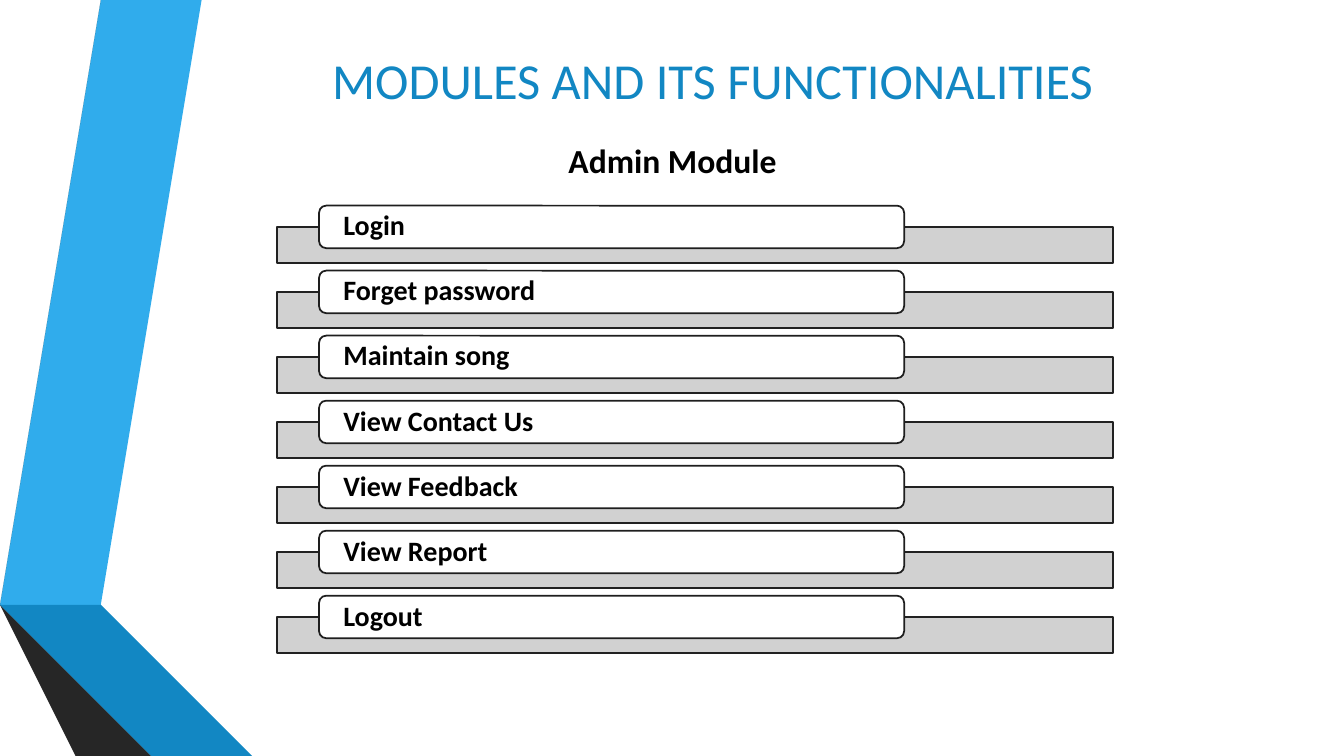
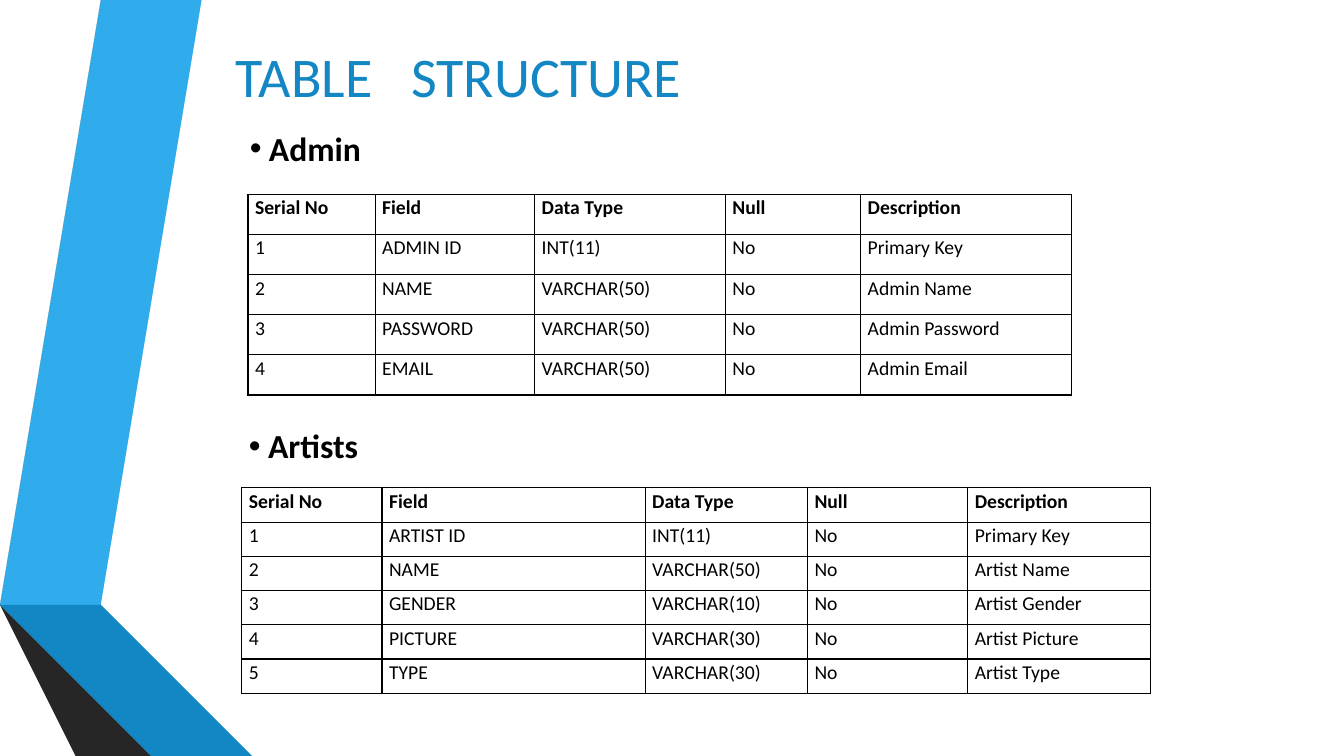
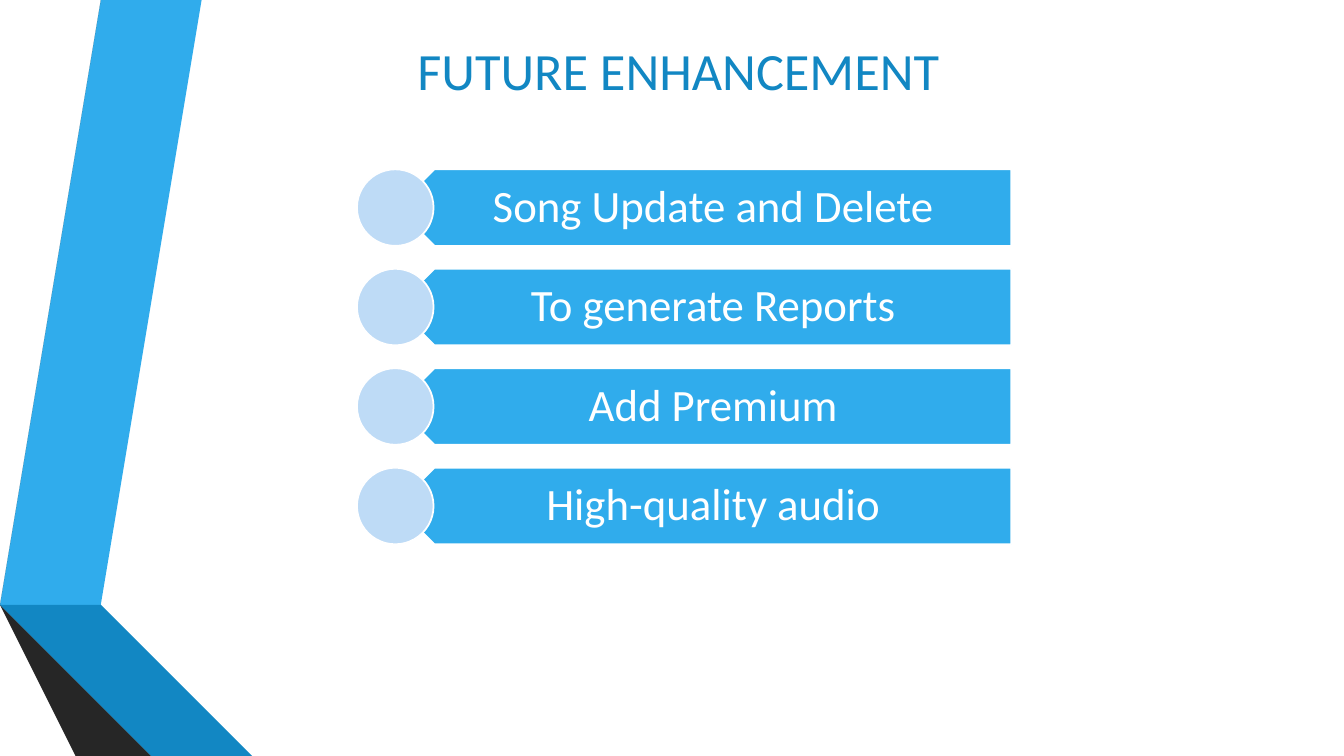
from collections import namedtuple

from lxml.etree import SubElement as Sub
from pptx import Presentation
from pptx.dml.color import RGBColor
from pptx.enum.shapes import MSO_SHAPE as Shape
from pptx.enum.text import MSO_ANCHOR as Anchor, MSO_AUTO_SIZE as Auto, PP_ALIGN as Align
from pptx.oxml.ns import qn
from pptx.util import Inches, Pt

WIDE, HIGH = 13.33, 7.5
FACE = "Calibri"
BLACK, WHITE = "000000", "FFFFFF"
SKY, BLUE, NAVY, PALE = "30ACEC", "1287C3", "0C5A82", "BEDBF6"
INK, COAL, SLATE, GREY = "262626", "404040", "595959", "CDCDCD"
HEAD = {"size": Pt(24), "bold": True}
CELL = {"margin_left": Inches(0.07), "margin_right": Inches(0.07),
        "margin_top": 0, "margin_bottom": 0}

# Outline points of the folded ribbon, in inches
RIBBON = [
    (SKY, [(0.5, 5.78), (0.77, 5.83), (1.73, 0), (1.45, 0)]),
    (SLATE, [(1.39, 0), (1.11, 0), (0.16, 5.73), (0.44, 5.77)]),
    (INK, [(0.16, 5.73), (1.45, HIGH), (1.51, HIGH)]),
    (NAVY, [(0.5, 5.79), (2.08, HIGH), (2.14, HIGH)]),
    (BLUE, [(0.5, 5.79), (2.14, HIGH), (2.83, HIGH), (0.77, 5.83), (0.5, 5.78)]),
    (COAL, [(2.02, HIGH), (0.48, 5.83), (0.43, 5.78), (0.44, 5.77),
            (0.16, 5.73), (1.51, HIGH)]),
]

MODULES = ["Login", "Forget password", "Maintain song", "View Contact Us",
           "View Feedback", "View Report", "Logout"]
PLANS = ["Song Update and Delete", "To generate Reports", "Add Premium",
         "High-quality audio"]
FIELDS = ["Serial No", "Field", "Data Type", "Null", "Description"]
ADMIN = [("ADMIN ID", "INT(11)", "Primary Key"),
         ("NAME", "VARCHAR(50)", "Admin Name"),
         ("PASSWORD", "VARCHAR(50)", "Admin Password"),
         ("EMAIL", "VARCHAR(50)", "Admin Email")]
ARTISTS = [("ARTIST ID", "INT(11)", "Primary Key"),
           ("NAME", "VARCHAR(50)", "Artist Name"),
           ("GENDER", "VARCHAR(10)", "Artist Gender"),
           ("PICTURE", "VARCHAR(30)", "Artist Picture"),
           ("TYPE", "VARCHAR(30)", "Artist Type")]


class Box(namedtuple("Box", "x y w h")):
    def cut(self, left, top, wide, high):
        """Inner box given as shares of this one."""
        return Box(self.x + left * self.w, self.y + top * self.h,
                   wide * self.w, high * self.h)

    def split(self, count, high):
        """Evenly spaced rows of one height that fill the box."""
        step = (self.h - high) / (count - 1)
        return [Box(self.x, self.y + i * step, self.w, high) for i in range(count)]

    def emu(self):
        return [Inches(side) for side in self]


def area(*cents):
    """Box in percent of the slide."""
    return Box(0, 0, WIDE, HIGH).cut(*(cent / 100 for cent in cents))


def rgb(code):
    return RGBColor.from_string(code)


def apply(thing, form):
    for key, value in form.items():
        setattr(thing, key, value)


def write(frame, text, font, color=BLACK, para=None, body=None):
    apply(frame, {"word_wrap": True, "auto_size": Auto.NONE, **(body or {})})
    line = frame.paragraphs[0]
    apply(line, para or {})
    run = line.add_run()
    run.text = text
    apply(run.font, {"name": FACE, **font})
    run.font.color.rgb = rgb(color)
    return line


def paint(shape, fill, edge=None):
    shape.shadow.inherit = False
    shape.fill.solid()
    shape.fill.fore_color.rgb = rgb(fill)
    if edge:
        shape.line.color.rgb = rgb(edge)
        shape.line.width = Pt(1.25)
    else:
        shape.line.fill.background()


def block(slide, kind, box, fill, edge):
    shape = slide.shapes.add_shape(kind, *box.emu())
    paint(shape, fill, edge)
    return shape


def ribbon(slide):
    """Draw the ribbon and move it to the layout, so every slide shows it."""
    tree = slide.slide_layout.shapes._spTree
    for color, (start, *rest) in RIBBON:
        pen = slide.shapes.build_freeform(*start, scale=Inches(1))
        pen.add_line_segments(rest, close=True)
        shape = pen.convert_to_shape()
        paint(shape, color)
        tree.append(shape._element)


def title(slide, text, box, size, para=None):
    hold = slide.shapes.title
    hold.left, hold.top, hold.width, hold.height = box.emu()
    return write(hold.text_frame, text, {"size": Pt(size)}, BLUE,
                 {"alignment": Align.LEFT, **(para or {})},
                 {"vertical_anchor": Anchor.TOP})


def label(slide, text, box, bullet=False):
    frame = slide.shapes.add_textbox(*box.emu()).text_frame
    line = write(frame, text, HEAD)
    if bullet:
        props = line._p.get_or_add_pPr()
        props.set("marL", str(Inches(0.19)))
        props.set("indent", str(-Inches(0.19)))
        Sub(props, qn("a:buFont"), typeface="Arial")
        Sub(props, qn("a:buChar"), char="•")


def stack(slide, box, names):
    """Outlined name cards, each over a grey track."""
    for row, name in zip(box.split(len(names), 0.57), names):
        track = block(slide, Shape.RECTANGLE, row.cut(0, 0.37, 1, 0.63), GREY, "212121")
        tint = track._element.spPr.find(".//" + qn("a:srgbClr"))
        Sub(tint, qn("a:alpha"), val="90000")
        card = block(slide, Shape.ROUNDED_RECTANGLE, row.cut(0.05, 0, 0.7, 0.74),
                     WHITE, "1E1E1E")
        write(card.text_frame, name, {"size": Pt(20), "bold": True},
              para={"alignment": Align.LEFT, "line_spacing": 0.9},
              body={"vertical_anchor": Anchor.MIDDLE, "margin_left": Inches(0.22),
                    "margin_right": Inches(0.22), "margin_top": 0, "margin_bottom": 0})


def rule(cell):
    """Black borders on all four sides."""
    props = cell._tc.get_or_add_tcPr()
    for side in ("lnL", "lnR", "lnT", "lnB"):
        edge = Sub(props, qn("a:" + side), w=str(Pt(1)))
        Sub(Sub(edge, qn("a:solidFill")), qn("a:srgbClr"), val=BLACK)


def schema(slide, box, widths, fields):
    rows = [FIELDS] + [(str(i), name, kind, "No", note)
                       for i, (name, kind, note) in enumerate(fields, 1)]
    table = slide.shapes.add_table(len(rows), len(widths), *box.emu()).table
    table.first_row = table.horz_banding = False
    for col, wide in zip(table.columns, widths):
        col.width = Inches(box.w * wide / sum(widths))
    for r, row in enumerate(rows):
        table.rows[r].height = Inches(box.h / len(rows))
        for c, text in enumerate(row):
            cell = table.cell(r, c)
            apply(cell, CELL)
            rule(cell)
            cell.fill.background()
            write(cell.text_frame, text, {"size": Pt(14), "bold": r == 0},
                  para={"line_spacing": 1.07})


def chain(slide, box, names):
    """Left-pointing plates, each with a ball at its tip."""
    for row, name in zip(box.split(len(names), 0.76), names):
        plate = block(slide, Shape.PENTAGON, row.cut(0.06, 0, 0.94, 1), SKY, WHITE)
        plate._element.spPr.find(qn("a:xfrm")).set("flipH", "1")
        write(plate.text_frame, name, {"size": Pt(32)}, WHITE,
              {"alignment": Align.CENTER, "line_spacing": 0.9},
              {"vertical_anchor": Anchor.MIDDLE, "margin_left": Inches(0.25),
               "margin_right": Inches(0.25)})
        block(slide, Shape.OVAL, row.cut(0, 0, row.h / row.w, 1), PALE, WHITE)


def modules(slide):
    title(slide, "MODULES AND ITS FUNCTIONALITIES", area(11.93, 5.87, 82.22, 12.8), 36,
          {"alignment": Align.CENTER})
    stack(slide, area(20.63, 27.2, 62.19, 59.2), MODULES)
    label(slide, "Admin Module", area(41.56, 17.87, 17.48, 6.67))


def tables(slide):
    line = title(slide, "TABLE\tSTRUCTURE", area(16.8, 4.8, 40.89, 11.73), 40)
    tabs = Sub(line._p.get_or_add_pPr(), qn("a:tabLst"))
    Sub(tabs, qn("a:tab"), pos=str(Inches(1.74)), algn="l")
    schema(slide, area(18.45, 25.73, 61.29, 26.53), [1.26, 1.58, 1.89, 1.34, 2.09], ADMIN)
    schema(slide, area(18, 64.53, 67.59, 27.2), [1.39, 2.61, 1.61, 1.59, 1.81], ARTISTS)
    label(slide, "Admin", area(17.85, 16.27, 10.58, 6.67), True)
    label(slide, "Artists", area(17.78, 55.6, 10.05, 6.67), True)


def future(slide):
    title(slide, "FUTURE ENHANCEMENT", area(30.31, 5.33, 45.91, 12.8), 37.4,
          {"line_spacing": 0.9})
    chain(slide, area(26.56, 22.4, 48.69, 49.6), PLANS)


def main():
    deck = Presentation()
    deck.slide_width, deck.slide_height = Inches(WIDE), Inches(HIGH)
    for fill in (modules, tables, future):
        slide = deck.slides.add_slide(deck.slide_layouts[5])
        if len(deck.slides) == 1:
            ribbon(slide)
        fill(slide)
    deck.save("out.pptx")


if __name__ == "__main__":
    main()
